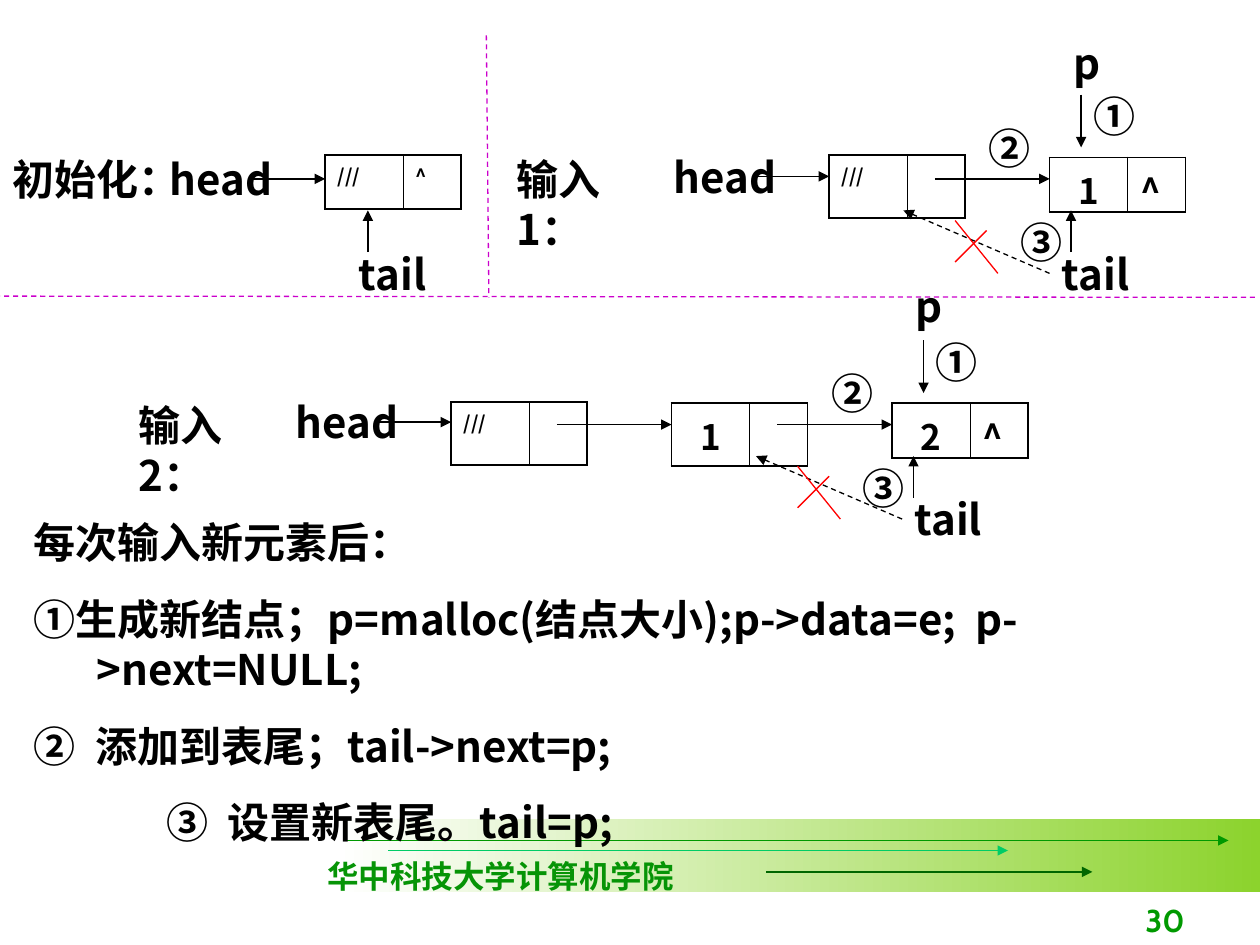
from typing import NamedTuple

from lxml import etree
from pptx import Presentation
from pptx.dml.color import RGBColor
from pptx.enum.dml import MSO_LINE
from pptx.enum.shapes import MSO_CONNECTOR, MSO_SHAPE
from pptx.enum.text import MSO_ANCHOR, PP_ALIGN
from pptx.oxml.ns import qn
from pptx.util import Pt

SCALE = 9144  # 100 px to the inch
RECT = MSO_SHAPE.RECTANGLE
STRAIGHT = MSO_CONNECTOR.STRAIGHT
DASH = MSO_LINE.DASH
LEFT, CENTER, RIGHT = PP_ALIGN.LEFT, PP_ALIGN.CENTER, PP_ALIGN.RIGHT
TOP, BOTTOM = MSO_ANCHOR.TOP, MSO_ANCHOR.BOTTOM
SANS = "Noto Sans CJK SC"
BLACK, RED, PINK = "000000", "FF0000", "CC00CC"


class Label(NamedTuple):
    text: str
    x: int
    y: int
    w: int = 125
    h: int = 50


class Line(NamedTuple):
    x1: int
    y1: int
    x2: int
    y2: int
    color: str = BLACK
    head: bool = True
    dash: bool = False


class Node(NamedTuple):
    x: int
    y: int
    data: str
    link: str = ""
    size: int = 20
    align: PP_ALIGN = CENTER


def px(n: int) -> int:
    return n * SCALE


def rgb(color: str) -> RGBColor:
    return RGBColor.from_string(color)


def style(para, size: int, color: str = BLACK, face: str = SANS) -> None:
    for run in para.runs:
        look = {"name": face, "size": Pt(size), "bold": True}
        for key, value in look.items():
            setattr(run.font, key, value)
        run.font.color.rgb = rgb(color)
        east = etree.SubElement(run.font._element, qn("a:ea"))
        east.set("typeface", SANS)


def inset(area) -> None:
    look = {"margin_left": px(10), "margin_right": px(10),
            "margin_top": px(5), "margin_bottom": px(5)}
    for key, value in look.items():
        setattr(area, key, value)


def make_frame(shapes, x: int, y: int, w: int, h: int):
    frame = shapes.add_textbox(px(x), px(y), px(w), px(h)).text_frame
    frame.word_wrap = True
    inset(frame)
    return frame


def draw_label(shapes, label: Label) -> None:
    para = make_frame(shapes, *label[1:]).paragraphs[0]
    para.text = label.text
    style(para, 24)


def draw_line(shapes, line: Line) -> None:
    ends = [px(n) for n in line[:4]]
    link = shapes.add_connector(STRAIGHT, *ends)
    link.line.width = Pt(0.75)
    link.line.color.rgb = rgb(line.color)
    if line.dash:
        link.line.dash_style = DASH
    if line.head:
        tip = etree.SubElement(link.line._get_or_add_ln(), qn("a:tailEnd"))
        tip.set("type", "triangle")
    etree.SubElement(link._element.spPr, qn("a:effectLst"))


def draw_edges(cell, widths: dict[str, float]) -> None:
    props = cell._tc.get_or_add_tcPr()
    for spot, (side, width) in enumerate(widths.items()):
        edge = etree.Element(qn(f"a:{side}"), w=str(int(Pt(width))))
        fill = etree.SubElement(edge, qn("a:solidFill"))
        etree.SubElement(fill, qn("a:srgbClr"), val=BLACK)
        props.insert(spot, edge)


def draw_node(shapes, node: Node) -> None:
    """Draw a list node: a data cell and a link cell."""
    high = 43 if node.link else 50
    table = shapes.add_table(1, 2, px(node.x), px(node.y),
                             px(108), px(high)).table
    table.first_row = table.horz_banding = False
    parts = ((node.data, 62, node.align), (node.link, 46, LEFT))
    for col, (text, width, align) in enumerate(parts):
        table.columns[col].width = px(width)
        cell = table.cell(0, col)
        inset(cell)
        cell.fill.background()
        para = cell.text_frame.paragraphs[0]
        para.text, para.alignment = text, align
        style(para, node.size)
        draw_edges(cell, {"lnL": 0.45 if col else 1.08,
                          "lnR": 1.08 if col else 0.45,
                          "lnT": 1.08, "lnB": 1.08})


def draw_head(shapes, x: int, y: int, mid: int, link: str = "") -> None:
    """Draw the head node at x, y with its pointer at height mid."""
    draw_node(shapes, Node(x, y, "///", link, 11, LEFT))
    draw_label(shapes, Label("head", x - 133, mid - 25))
    draw_line(shapes, Line(x - 58, mid, x, mid))


def draw_step(shapes, x: int, y: int, data: str, shift: int) -> None:
    """Draw the three moves that append a node at x, y."""
    draw_node(shapes, Node(x, y, data, "^"))
    labels = (Label("p", x + 9, y - 100 - shift // 4),
              Label("tail", x + shift, y + 67),
              Label("①", x + 25, y - 58, 58),
              Label("②", x - 58, y - 33, 50),
              Label("③", x - 33, y + 42, 50))
    lines = (Line(x + 25, y - 50, x + 25, y - 8),
             Line(x + 17, y + 75, x + 17, y + 42),
             Line(x - 91, y + 17, x, y + 17),
             Line(x + shift, y + 92, x - 116 + shift, y + 42, dash=True),
             Line(x - 50, y + 58, x - 75, y + 83, RED, False),
             Line(x - 75, y + 50, x - 41, y + 92, RED, False))
    for label in labels:
        draw_label(shapes, label)
    for line in lines:
        draw_line(shapes, line)


def draw_footer(shapes) -> None:
    band = shapes.add_shape(RECT, px(267), px(650), px(733), px(58))
    band.shadow.inherit = False
    band.line.fill.background()
    band.fill.gradient()
    band.fill.gradient_angle = 0
    for stop, color in zip(band.fill.gradient_stops, ("FFFFFF", "8CD32D")):
        stop.color.rgb = rgb(color)
    for line in (Line(275, 667, 975, 667, "009900"),
                 Line(308, 675, 800, 675, "00CC66"),
                 Line(608, 692, 867, 692, "006600")):
        draw_line(shapes, line)
    rows = (("华中科技大学计算机学院", (250, 675, 295, 40), "069406",
             "Times New Roman", LEFT, TOP),
            ("30", (742, 700, 208, 50), "009900", "Cabin", RIGHT, BOTTOM))
    for text, area, color, face, align, anchor in rows:
        frame = make_frame(shapes, *area)
        frame.vertical_anchor = anchor
        para = frame.paragraphs[0]
        para.text, para.alignment = text, align
        style(para, 18, color, face)


def draw_notes(shapes) -> None:
    frame = make_frame(shapes, 17, 405, 1003, 273)
    rows = (("每次输入新元素后：", 50),
            ("①生成新结点；p=malloc(结点大小);p->data=e;  p->next=NULL;", 50),
            ("②\t添加到表尾；tail->next=p;", 49),
            ("③\t设置新表尾。tail=p;", 154))
    for row, (text, left) in enumerate(rows):
        para = frame.add_paragraph() if row else frame.paragraphs[0]
        para.text = text
        props = para._p.get_or_add_pPr()
        props.set("marL", str(px(left)))
        props.set("indent", str(px(-49 if "\t" in text else -50)))
        if row:
            para.space_before = Pt(15)
        style(para, 24)


def main() -> None:
    deck = Presentation()
    deck.slide_width, deck.slide_height = px(1000), px(750)
    shapes = deck.slides.add_slide(deck.slide_layouts[6]).shapes
    draw_footer(shapes)
    for label in (Label("初始化：", 0, 117, 193), Label("输入1：", 400, 117),
                  Label("输入2：", 100, 312), Label("tail", 275, 192)):
        draw_label(shapes, label)
    draw_head(shapes, 258, 123, 142, "^")
    draw_head(shapes, 658, 123, 140)
    draw_head(shapes, 358, 319, 335)
    draw_node(shapes, Node(533, 320, "1"))
    draw_step(shapes, 833, 125, "1", 0)
    draw_step(shapes, 708, 320, "2", 8)
    for line in (Line(292, 200, 292, 167), Line(442, 337, 533, 337),
                 Line(-4, 235, 996, 236, PINK, False, True),
                 Line(386, 28, 388, 236, PINK, False, True)):
        draw_line(shapes, line)
    draw_notes(shapes)
    deck.save("out.pptx")


if __name__ == "__main__":
    main()
